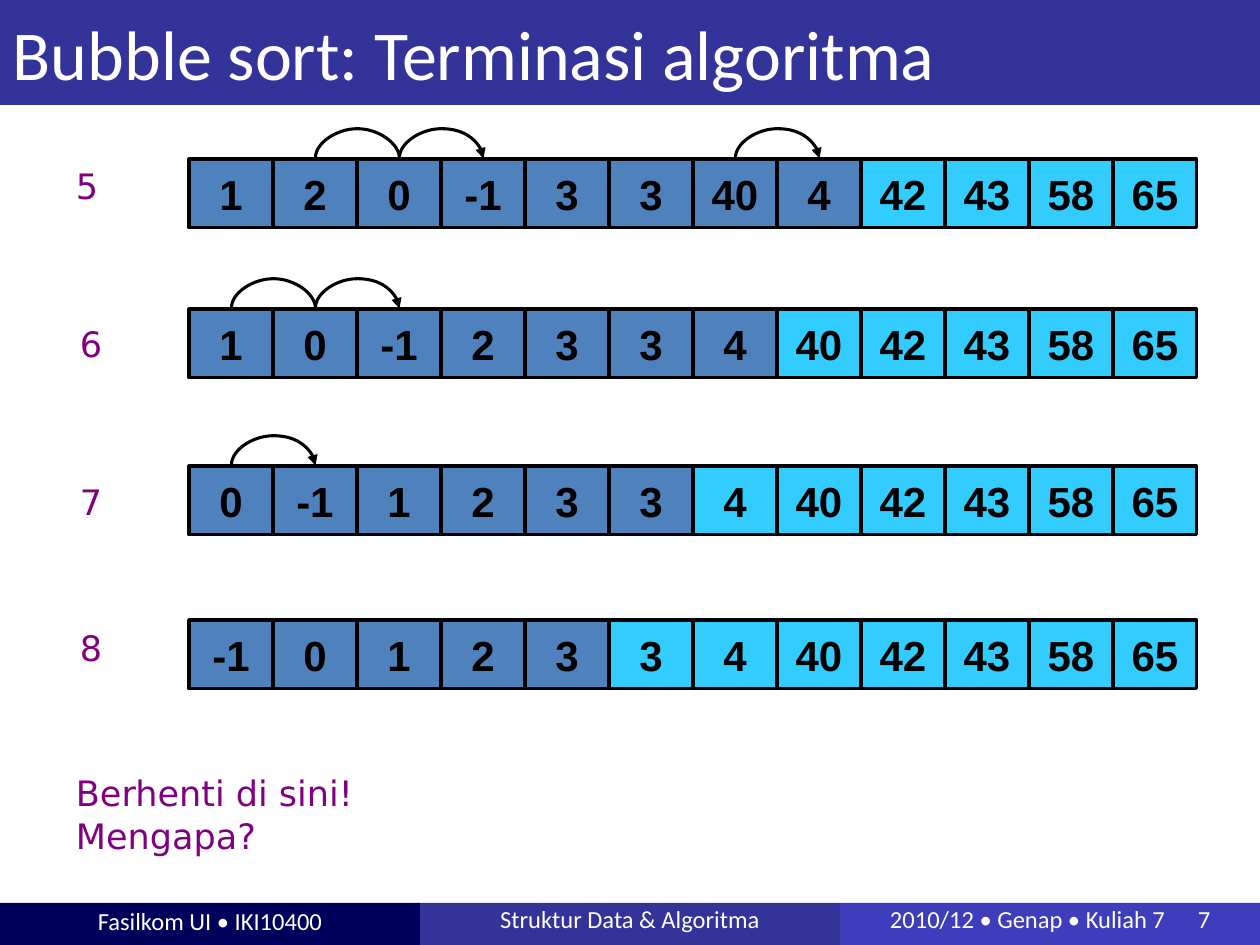
import pptx
import pptx.util
import pptx.dml.color
import pptx.enum.shapes
import pptx.enum.text
import pptx.oxml
import pptx.oxml.ns

RGB = pptx.dml.color.RGBColor
WHITE = RGB(0xFF, 0xFF, 0xFF)
BLACK = RGB(0, 0, 0)
NAVY = RGB(0x00, 0x00, 0x5C)
INDIGO = RGB(0x33, 0x33, 0x99)
VIOLET = RGB(0x3E, 0x3E, 0xBC)
STEEL = RGB(0x4F, 0x81, 0xBD)
CYAN = RGB(0x33, 0xCC, 0xFF)
PURPLE = RGB(0x80, 0x00, 0x80)

ALIGN = pptx.enum.text.PP_ALIGN
ANCHOR = pptx.enum.text.MSO_ANCHOR
SHAPE = pptx.enum.shapes.MSO_SHAPE
CURVE = pptx.enum.shapes.MSO_CONNECTOR.CURVE

CELL_W, CELL_H = 84, 69
ROWS = [
    ("5", 159, 185, 76, [1, 2, 0, -1, 3, 3, 40, 4, 42, 43, 58, 65], 8,
     [(1, False), (2, True), (6, True)]),
    ("6", 309, 343, 80, [1, 0, -1, 2, 3, 3, 4, 40, 42, 43, 58, 65], 7,
     [(0, False), (1, True)]),
    ("7", 466, 501, 80, [0, -1, 1, 2, 3, 3, 4, 40, 42, 43, 58, 65], 6,
     [(0, True)]),
    ("8", 620, 647, 80, [-1, 0, 1, 2, 3, 3, 4, 40, 42, 43, 58, 65], 5, []),
]


def px(n):
    return pptx.util.Emu(round(n * 914400 / 126))


def node(tag, **attrs):
    el = pptx.oxml.parse_xml(f"<a:{tag} {pptx.oxml.ns.nsdecls('a')}/>")
    for key, val in attrs.items():
        el.set(key, str(val))
    return el


def write(shape, text, font="Calibri", size=14, color=WHITE, bold=False,
          align=ALIGN.LEFT, anchor=ANCHOR.MIDDLE, inset=(13, 6, 13, 6),
          space=1.0, tab=None):
    frame = shape.text_frame
    frame.word_wrap = True
    frame.vertical_anchor = anchor
    (frame.margin_left, frame.margin_top,
     frame.margin_right, frame.margin_bottom) = map(px, inset)
    para = frame.paragraphs[0]
    para.text = text
    para.alignment = align
    para.line_spacing = space
    if tab:
        stops = node("tabLst")
        stops.append(node("tab", pos=px(tab), algn="l"))
        para._p.get_or_add_pPr().append(stops)
    para.font.name = font
    para.font.size = pptx.util.Pt(size)
    para.font.bold = bold
    para.font.color.rgb = color


def rect(slide, x, y, w, h, fill, line=None):
    box = slide.shapes.add_shape(SHAPE.RECTANGLE, px(x), px(y), px(w), px(h))
    box.shadow.inherit = False
    box.fill.solid()
    box.fill.fore_color.rgb = fill
    if line is None:
        box.line.fill.background()
    else:
        box.line.color.rgb = line
        box.line.width = pptx.util.Pt(1.75)
    return box


def note(slide, x, y, w, h, text):
    box = slide.shapes.add_textbox(px(x), px(y), px(w), px(h))
    write(box, text, font="DejaVu Sans", size=20, color=PURPLE,
          anchor=ANCHOR.TOP, inset=(0, 6, 0, 6))


def arc(slide, x, y, head):
    mid = x + CELL_W / 2
    line = slide.shapes.add_connector(
        CURVE, px(mid), px(y + CELL_W / 2), px(mid + 1), px(y - CELL_W / 2))
    line.line.color.rgb = BLACK
    line.line.width = pptx.util.Pt(1.75)
    props = line._element.spPr
    props.find(pptx.oxml.ns.qn("a:xfrm")).set("rot", "5400000")
    geom = props.find(pptx.oxml.ns.qn("a:prstGeom"))
    geom.get_or_add_avLst().append(
        node("gd", name="adj1", fmla="val -2900000"))
    if head:
        line.line._get_or_add_ln().append(node("tailEnd", type="triangle"))
    props.append(node("effectLst"))


def row(slide, x, y, vals, split, arcs):
    for i, val in enumerate(vals):
        cell = rect(slide, x + i * CELL_W, y, CELL_W, CELL_H,
                    STEEL if i < split else CYAN, BLACK)
        write(cell, str(val), font="Arial", size=24, color=BLACK, bold=True,
              align=ALIGN.CENTER, inset=(0, 6, 0, 6))
    for i, head in arcs:
        arc(slide, x + (i + 0.5) * CELL_W, y - 1, head)


def title(slide, x, y, w, h):
    write(rect(slide, x, y, w, h, INDIGO), "Bubble sort: Terminasi algoritma",
          size=40)


def footer(slide, x, y, w, h):
    part = w // 3
    inset = (13, 0, 13, 6)
    write(rect(slide, x, y, part, h, NAVY), "Fasilkom UI • IKI10400",
          align=ALIGN.CENTER, inset=inset)
    write(rect(slide, x + part, y, part, h, INDIGO),
          "Struktur Data & Algoritma", align=ALIGN.CENTER, inset=inset,
          space=0.81)
    write(rect(slide, x + 2 * part, y, part, h, VIOLET),
          "2010/12 • Genap • Kuliah 7\t7", inset=(50, 0, 13, 6),
          space=0.81, tab=308)


def main():
    deck = pptx.Presentation()
    deck.slide_width, deck.slide_height = px(1260), px(945)
    slide = deck.slides.add_slide(deck.slide_layouts[6])
    footer(slide, 0, 903, 1260, 42)
    title(slide, 0, 0, 1260, 105)
    for label, top, mid, left, vals, split, arcs in ROWS:
        row(slide, 189, top, vals, split, arcs)
        note(slide, left, mid - 27, 48, 54, label)
    note(slide, 76, 766, 480, 96, "Berhenti di sini!\vMengapa?")
    deck.save("out.pptx")


if __name__ == "__main__":
    main()
